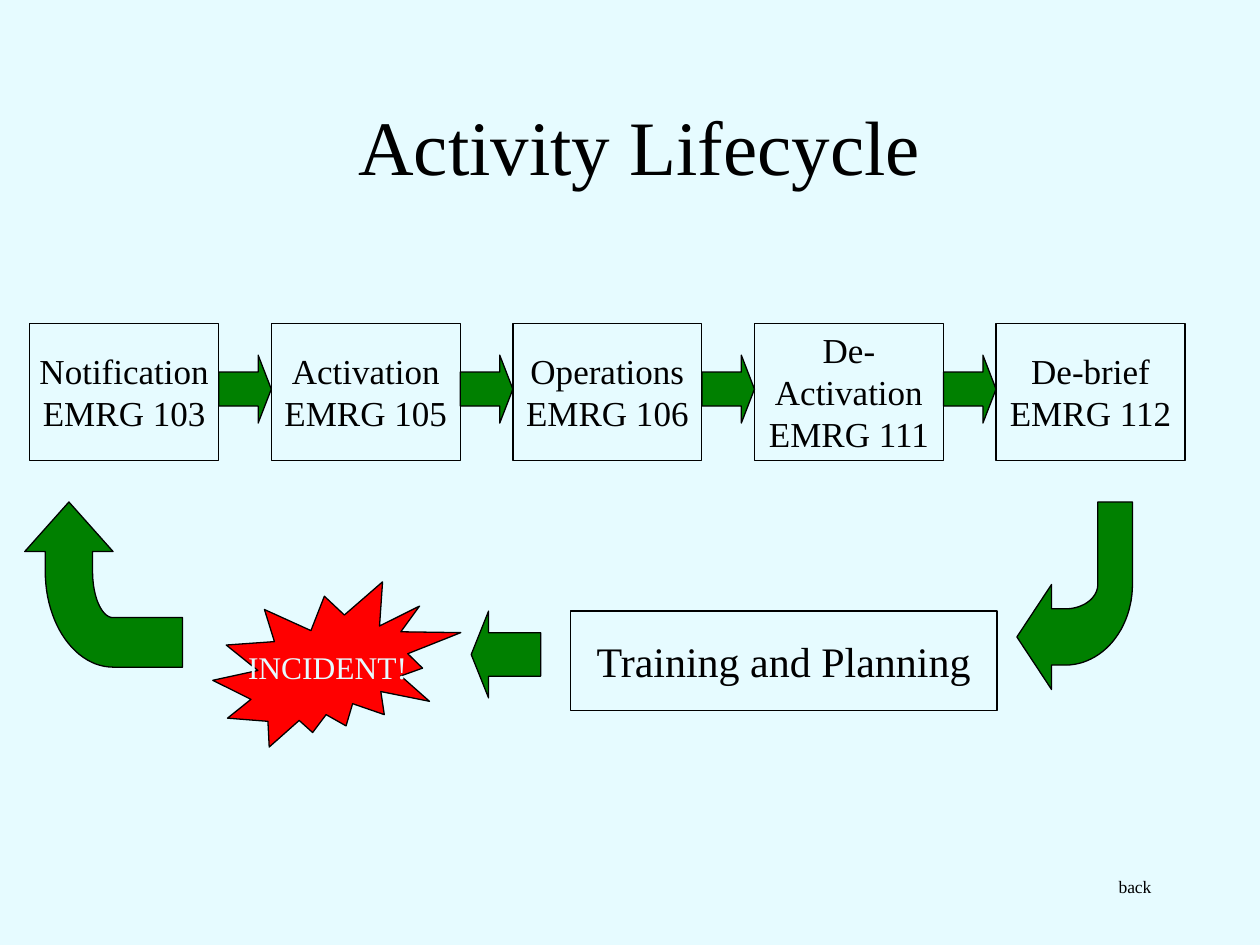
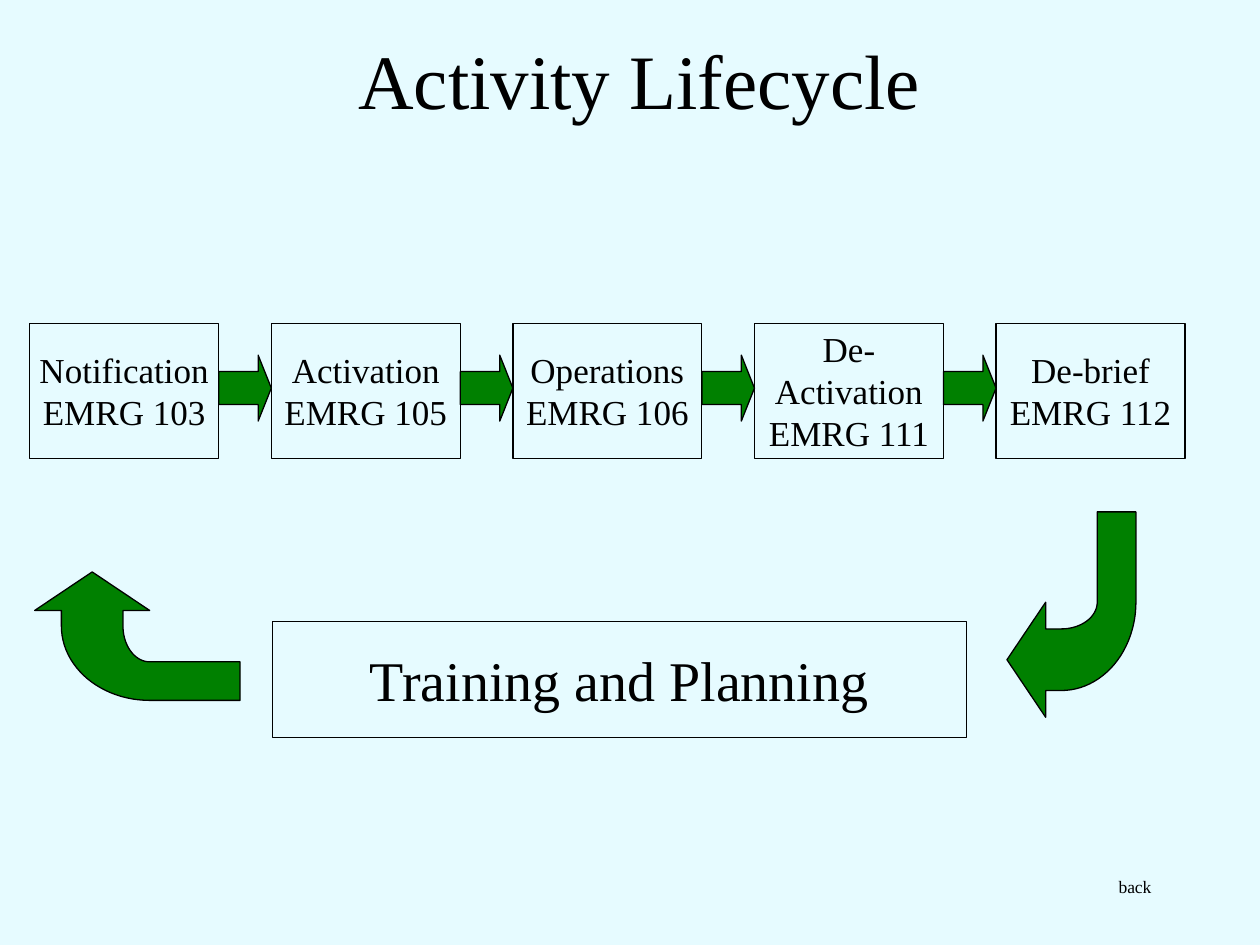
from dataclasses import dataclass
from math import cos, pi, sin

from pptx import Presentation
from pptx.dml.color import RGBColor as Rgb
from pptx.enum.shapes import MSO_SHAPE as Kind
from pptx.enum.text import MSO_ANCHOR as Anchor, MSO_AUTO_SIZE as Fit, PP_ALIGN as Align
from pptx.util import Cm, Pt


@dataclass(frozen=True)
class Theme:
    font: str = "Times New Roman"
    paper: Rgb = Rgb(0xE6, 0xFB, 0xFF)
    ink: Rgb = Rgb(0, 0, 0)
    green: Rgb = Rgb(0, 0x80, 0)
    red: Rgb = Rgb(0xFF, 0, 0)
    line: Pt = Pt(0.75)
    title: int = 44
    large: int = 32
    plan: int = 24
    step: int = 20
    alert: int = 18
    small: int = 10


T = Theme()
# A line break is \v, a new paragraph is \n.
STEPS = (
    "Notification\vEMRG 103",
    "Activation\vEMRG 105",
    "Operations\vEMRG 106",
    "De-\nActivation\vEMRG 111",
    "De-brief\vEMRG 112",
)
LEFT, TOP, WIDTH, PITCH = 0.6, 6.52, 3.81, 4.87


def place(at):
    return [Cm(n) for n in at]


def write(frame, text, size, color=T.ink, align=Align.CENTER):
    frame.text = text
    for para in frame.paragraphs:
        para.alignment = align
        font = para.font
        font.name, font.size = T.font, Pt(size)
        font.color.rgb = color


def paint(shape, fill=None):
    shape.shadow.inherit = False
    if fill is None:
        shape.fill.background()
    else:
        shape.fill.solid()
        shape.fill.fore_color.rgb = fill
    shape.line.color.rgb = T.ink
    shape.line.width = T.line


def label(slide, at, text, size, kind=Kind.RECTANGLE, fill=None, color=T.ink):
    shape = slide.shapes.add_shape(kind, *place(at))
    paint(shape, fill)
    frame = shape.text_frame
    frame.word_wrap = False
    frame.vertical_anchor = Anchor.MIDDLE
    write(frame, text, size, color)


def arrow(slide, at, kind=Kind.RIGHT_ARROW):
    shape = slide.shapes.add_shape(kind, *place(at))
    shape.adjustments[1] = 0.25
    paint(shape, T.green)


def arc(wide, deep, steps=24):
    """Quarter ellipse in unit space, from the tail side to the head side."""
    turns = [pi / 2 * n / steps for n in range(steps + 1)]
    return [(0.58 - wide * cos(a), 0.44 + deep * sin(a)) for a in turns]


def bend(slide, at, up=False):
    """Bent arrow: from top to left, or from right to top when up is set.

    The outline is in unit space: the tail runs along v, the tip points along u.
    """
    head = [(0.7, 0.87), (0.7, 1), (1, 0.72), (0.7, 0.44), (0.7, 0.57)]
    unit = [(0, 0), *arc(0.58, 0.43), *head, *reversed(arc(0.28, 0.13)), (0.3, 0)]
    left, top, wide, high = place(at)
    right, base = left + wide, top + high
    if up:
        spots = [(right - v * wide, base - u * high) for u, v in unit]
    else:
        spots = [(right - u * wide, top + v * high) for u, v in unit]
    spots = [(round(x), round(y)) for x, y in spots]
    path = slide.shapes.build_freeform(*spots[0])
    path.add_line_segments(spots[1:], close=True)
    paint(path.convert_to_shape(), T.green)


def chain(slide, high):
    """Row of steps, with an arrow filling each gap."""
    for n, text in enumerate(STEPS):
        x = LEFT + n * PITCH
        label(slide, (x, TOP, WIDTH, high), text, T.step)
        if n:
            gap = PITCH - WIDTH
            arrow(slide, (x - gap, 7.16, gap, high - 1.39))


def back(slide):
    box = slide.shapes.add_textbox(*place((22.3, 17.53, 1.4, 0.69)))
    frame = box.text_frame
    frame.word_wrap = True
    frame.auto_size = Fit.SHAPE_TO_FIT_TEXT
    write(frame, "back", T.small, align=Align.LEFT)


def start(deck, top, high):
    """Slide with the title, the chain of steps and the back label."""
    slide = deck.slides.add_slide(deck.slide_layouts[5])
    title = slide.shapes.title
    title.left, title.top, title.width, title.height = place((2.1, top, 21.59, 3.18))
    title.text_frame.vertical_anchor = Anchor.MIDDLE
    write(title.text_frame, "Activity Lifecycle", T.title)
    chain(slide, high)
    back(slide)
    return slide


def plan(slide, at, size):
    label(slide, at, "Training and Planning", size)


def main():
    deck = Presentation()
    deck.slide_width, deck.slide_height = Cm(25.4), Cm(19.05)
    fill = deck.slide_master.background.fill
    fill.solid()
    fill.fore_color.rgb = T.paper

    slide = start(deck, 1.33, 2.76)
    plan(slide, (11.5, 12.32, 8.6, 2), T.plan)
    bend(slide, (0.5, 10.12, 3.18, 3.33), up=True)
    bend(slide, (20.5, 10.12, 2.33, 3.78))
    label(slide, (4.29, 11.73, 5, 3.33), "INCIDENT!", T.alert,
          Kind.EXPLOSION2, T.red, T.paper)
    arrow(slide, (9.5, 12.32, 1.4, 1.75), Kind.LEFT_ARROW)

    slide = start(deck, 0, 2.72)
    plan(slide, (5.49, 12.53, 14, 2.34), T.large)
    bend(slide, (20.3, 10.32, 2.6, 4.14))
    bend(slide, (0.7, 11.53, 4.14, 2.59), up=True)

    deck.save("out.pptx")


if __name__ == "__main__":
    main()
